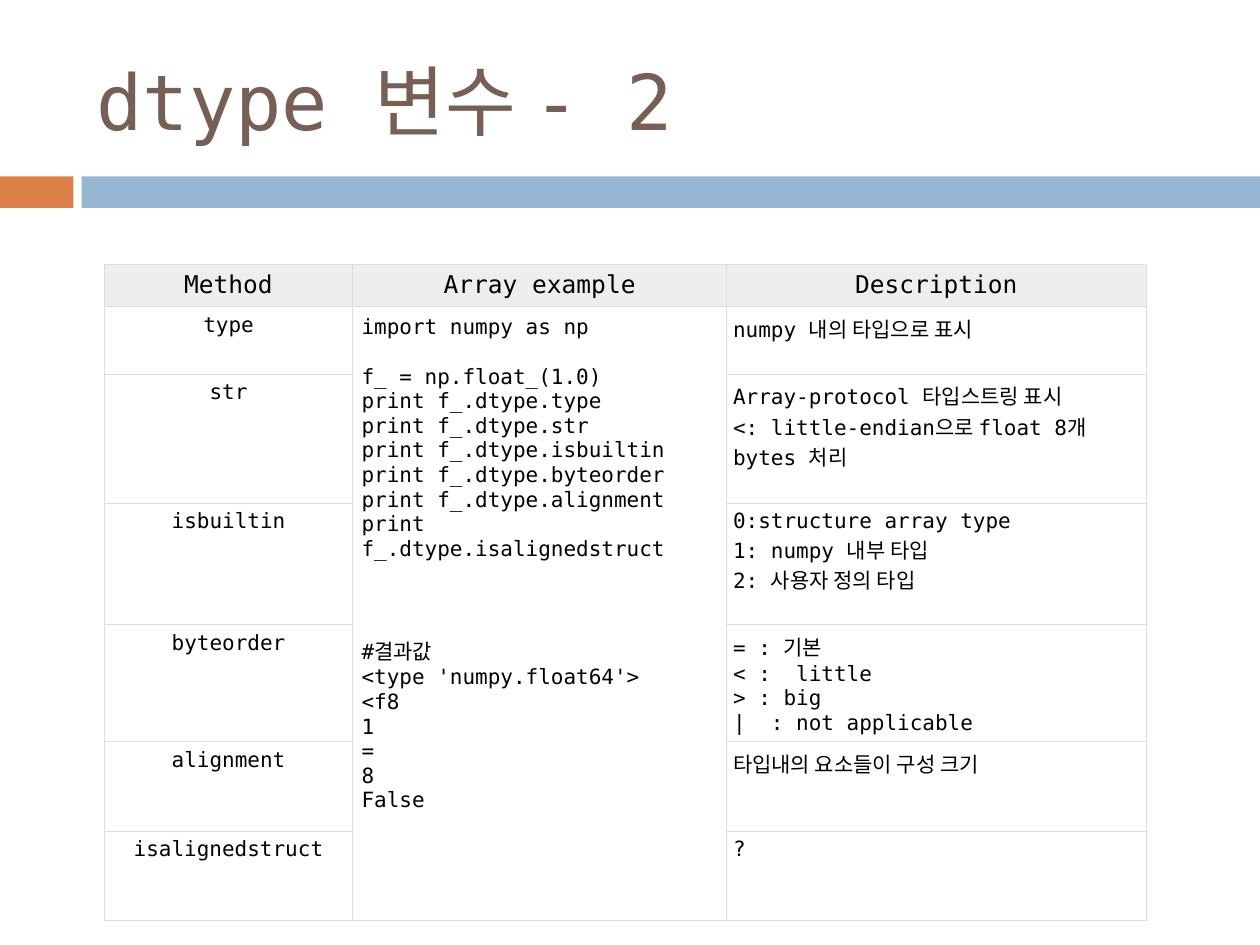
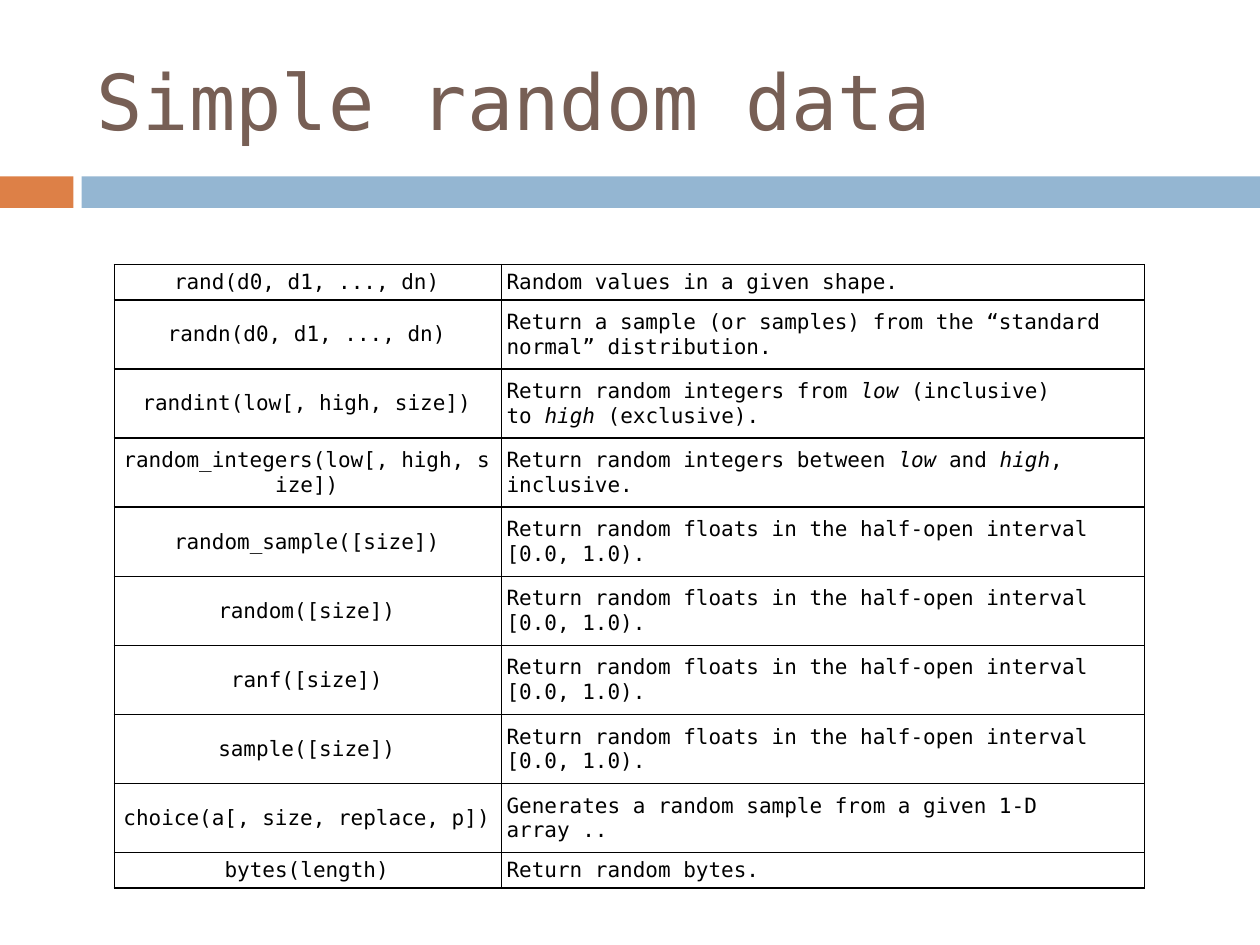
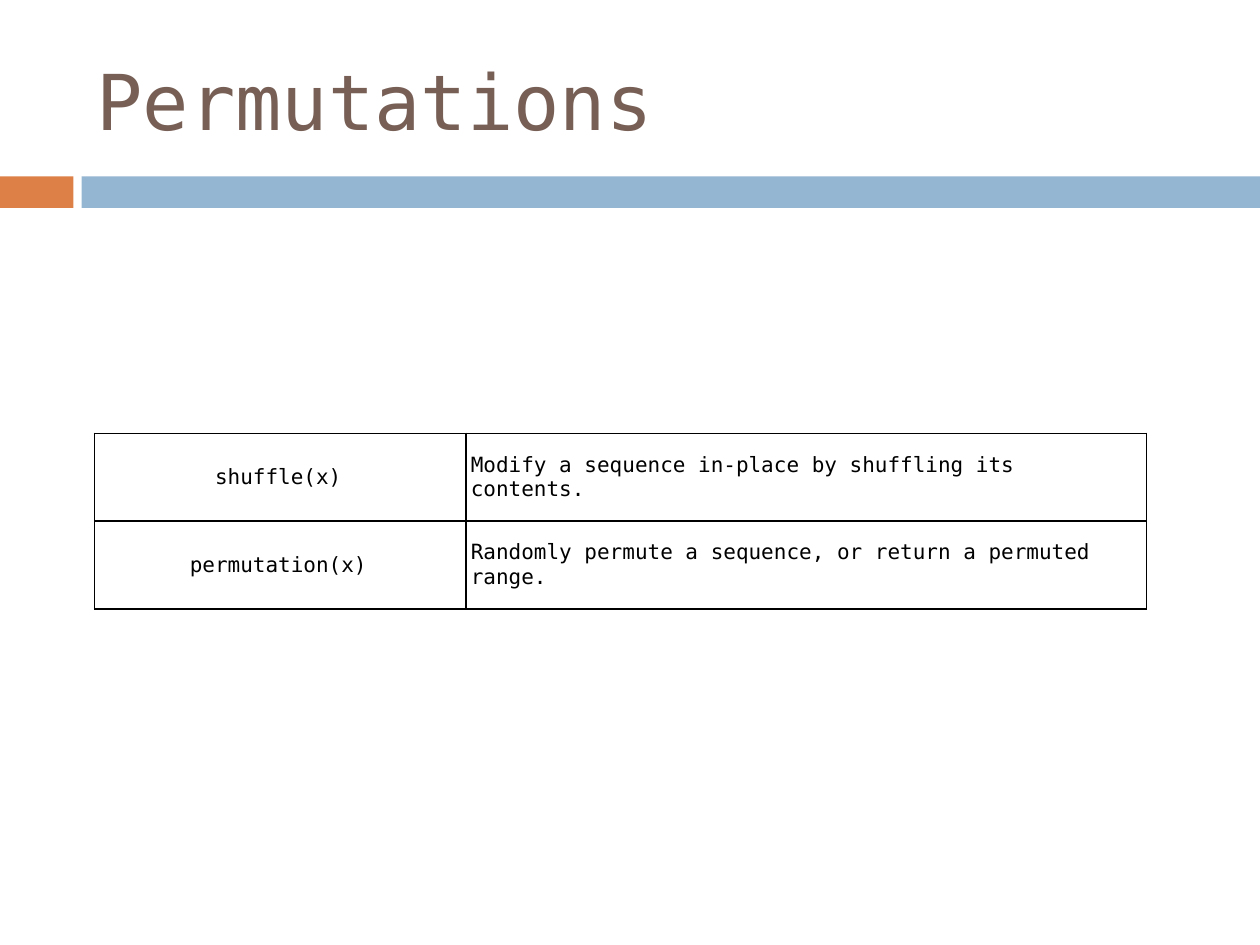
"""Build three NumPy reference slides: dtype attributes, simple random data and permutations."""
import dataclasses

import lxml.etree
import pptx
import pptx.dml.color
import pptx.enum.shapes
import pptx.enum.text
import pptx.oxml
import pptx.oxml.ns
import pptx.util

Pt = pptx.util.Pt
RGB = pptx.dml.color.RGBColor.from_string
ANCHOR = pptx.enum.text.MSO_ANCHOR
ALIGN = pptx.enum.text.PP_ALIGN


@dataclasses.dataclass(frozen=True)
class Theme:
    """Colours, font and type sizes of the deck."""
    orange: str = "DD8047"
    blue: str = "94B6D2"
    brown: str = "775F55"
    ink: str = "000000"
    paper: str = "FFFFFF"
    header: str = "EEEEEE"
    grey_line: str = "DDDDDD"
    font: str = "DejaVu Sans Mono"
    title_size: int = 44
    header_size: int = 14
    body_size: int = 12
    line_height: int = 14


theme = Theme()
NBSP = chr(160)


def write_cell(cell, text, size, align):
    """Write lines into a cell; empty lines become spacing and *words* italics."""
    tf = cell.text_frame
    p, gap = None, 0
    for line in text.split("\n"):
        if not line:
            gap += theme.line_height
            continue
        p = tf.add_paragraph() if p is not None else tf.paragraphs[0]
        p.alignment = align
        if gap:
            p.space_before = Pt(gap)
            gap = 0
        for i, part in enumerate(line.split("*")):
            r = p.add_run()
            r.text = part
            r.font.name = theme.font
            r.font.size = Pt(size)
            r.font.color.rgb = RGB(theme.ink)
            if i % 2:
                r.font.italic = True


def draw_borders(cell, color, width):
    """Draw the four borders of a cell."""
    tc_pr = cell._tc.get_or_add_tcPr()
    for i, side in enumerate(("lnL", "lnR", "lnT", "lnB")):
        ln = lxml.etree.Element(pptx.oxml.ns.qn(f"a:{side}"), w=str(int(Pt(width))))
        fill = lxml.etree.SubElement(ln, pptx.oxml.ns.qn("a:solidFill"))
        lxml.etree.SubElement(fill, pptx.oxml.ns.qn("a:srgbClr"), val=color)
        tc_pr.insert(i, ln)


dtype_code = """import numpy as np

f_ = np.float_(1.0)
print f_.dtype.type
print f_.dtype.str
print f_.dtype.isbuiltin
print f_.dtype.byteorder
print f_.dtype.alignment
print f_.dtype.isalignedstruct



#결과값
<type 'numpy.float64'>
<f8
1
=
8
False"""

dtype_rows = [
    ("Method", "Array example", "Description"),
    ("type", dtype_code, "numpy 내의 타입으로 표시"),
    ("str", "", "Array-protocol 타입스트링 표시\n<: little-endian으로 float 8개 bytes 처리"),
    ("isbuiltin", "", "0:structure array type\n1: numpy 내부 타입\n2: 사용자 정의 타입"),
    ("byteorder", "", "= : 기본\n< :  little\n> : big\n|  : not applicable"),
    ("alignment", "", "타입내의 요소들이 구성 크기"),
    ("isalignedstruct", "", "?"),
]

half_open = "Return random floats in the half-open interval [0.0, 1.0)."
random_rows = [
    ("rand(d0, d1, ..., dn)", "Random values in a given shape."),
    ("randn(d0, d1, ..., dn)",
     "Return a sample (or samples) from the “standard normal” distribution."),
    ("randint(low[, high, size])",
     "Return random integers from *low* (inclusive) to *high* (exclusive)."),
    ("random_integers(low[, high, size])",
     "Return random integers between *low* and *high*, inclusive."),
    *((f"{name}([size])", half_open) for name in ("random_sample", "random", "ranf", "sample")),
    ("choice(a[, size, replace, p])", "Generates a random sample from a given 1-D array .."),
    ("bytes(length)", "Return random bytes."),
]

permutation_rows = [
    ("shuffle(x)", "Modify a sequence in-place by shuffling its contents."),
    ("permutation(x)", "Randomly permute a sequence, or return a permuted range."),
]

slides = [
    dict(title="dtype 변수 - 2", rows=dtype_rows, left=59.6, top=151.2,
         widths=(142, 213.7, 239.6), heights=(24, 38.5, 73.7, 69.7, 66.6, 51.3, 51.1),
         margins=(3.6, 3.6, 3.6, 3.6), line=(theme.grey_line, 0.6), has_header=True),
    dict(title="Simple random data", rows=random_rows, left=65.4, top=151.2,
         widths=(221.2, 367.4), heights=(20.2, *[39.5] * 8, 20.2),
         margins=(2.9, 0.7, 4.3, 0.7), line=(theme.ink, 1), has_header=False),
    dict(title="Permutations", rows=permutation_rows, left=54, top=247.6,
         widths=(212.2, 389), heights=(50.2, 50.2),
         margins=(2.9, 0.7, 5, 0.7), line=(theme.ink, 1), has_header=False),
]

prs = pptx.Presentation()
prs.slide_width, prs.slide_height = Pt(720), Pt(540)

for spec in slides:
    s = prs.slides.add_slide(prs.slide_layouts[6])

    for left, width, color in ((0, 42, theme.orange), (46.6, 673.4, theme.blue)):
        band = s.shapes.add_shape(pptx.enum.shapes.MSO_SHAPE.RECTANGLE,
                                  Pt(left), Pt(100.8), Pt(width), Pt(18))
        band.shadow.inherit = False
        band.fill.solid()
        band.fill.fore_color.rgb = RGB(color)
        band.line.fill.background()

    title = s.shapes.add_textbox(Pt(48), Pt(18), Pt(642), Pt(78))
    tf = title.text_frame
    tf.word_wrap = True
    tf.vertical_anchor = ANCHOR.MIDDLE
    tf.text = spec["title"]
    r = tf.paragraphs[0].runs[0]
    r.font.name = theme.font
    r.font.size = Pt(theme.title_size)
    r.font.color.rgb = RGB(theme.brown)

    rows, widths, heights = spec["rows"], spec["widths"], spec["heights"]
    has_header = spec["has_header"]
    table = s.shapes.add_table(len(rows), len(widths), Pt(spec["left"]), Pt(spec["top"]),
                               Pt(sum(widths)), Pt(sum(heights))).table
    table.first_row = has_header
    table.horz_banding = False
    for column, width in zip(table.columns, widths):
        column.width = Pt(width)
    for row, height in zip(table.rows, heights):
        row.height = Pt(height)

    for y, texts in enumerate(rows):
        is_header = has_header and y == 0
        for x, text in enumerate(texts):
            cell = table.cell(y, x)
            if x == 0:
                text = text.replace(" ", NBSP)
            text = text.replace(" *", f"{NBSP}*").replace("* ", f"*{NBSP}")
            write_cell(cell, text, theme.header_size if is_header else theme.body_size,
                       ALIGN.CENTER if is_header or x == 0 else ALIGN.LEFT)
            cell.vertical_anchor = ANCHOR.TOP if has_header else ANCHOR.MIDDLE
            (cell.margin_left, cell.margin_top,
             cell.margin_right, cell.margin_bottom) = map(Pt, spec["margins"])
            cell.fill.solid()
            cell.fill.fore_color.rgb = RGB(theme.header if is_header else theme.paper)
            draw_borders(cell, *spec["line"])

    if has_header:
        code = table.cell(1, 1)
        code.merge(table.cell(len(rows) - 1, 1))
        code.margin_left = code.margin_top = code.margin_right = code.margin_bottom = Pt(5)

prs.save("out.pptx")
